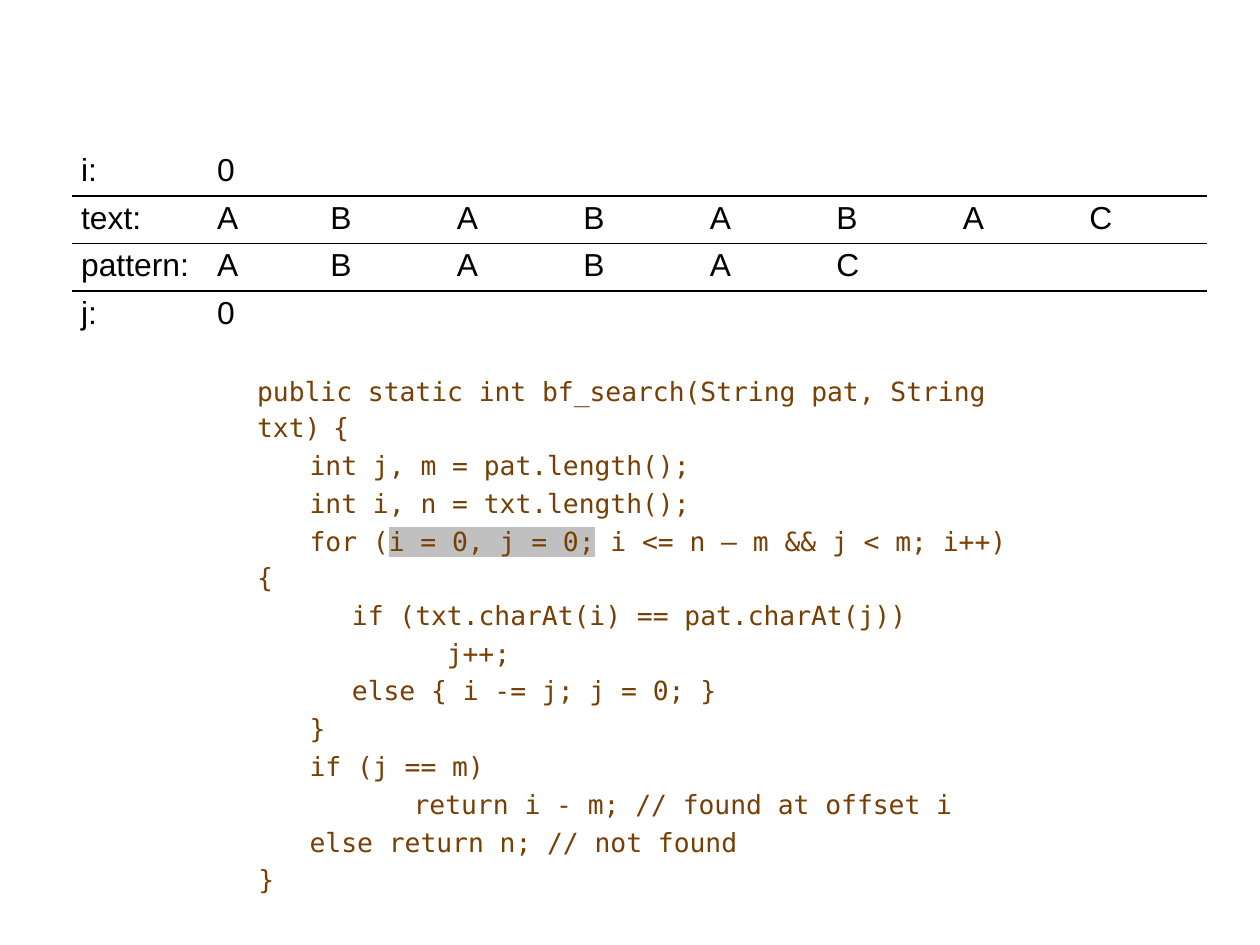
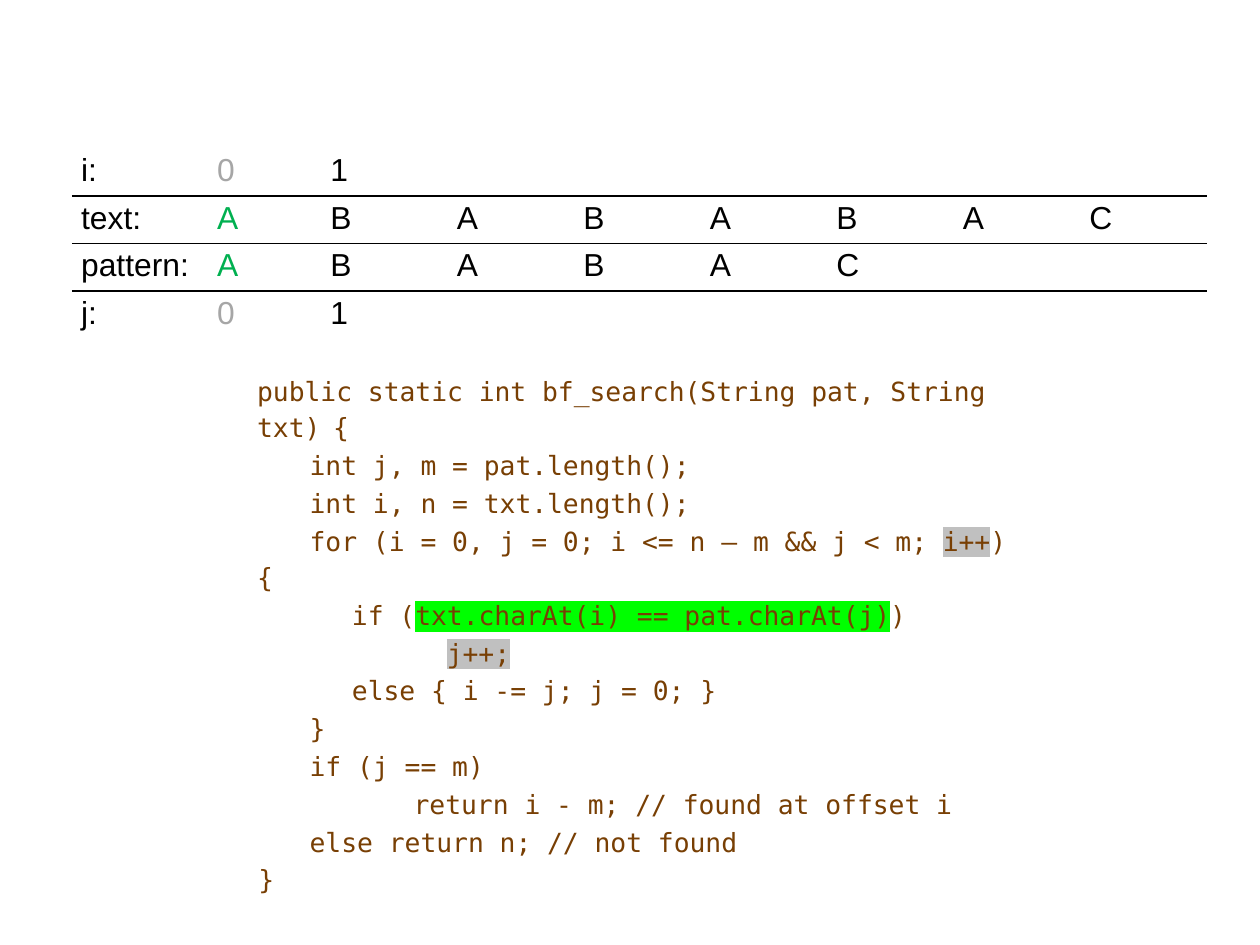
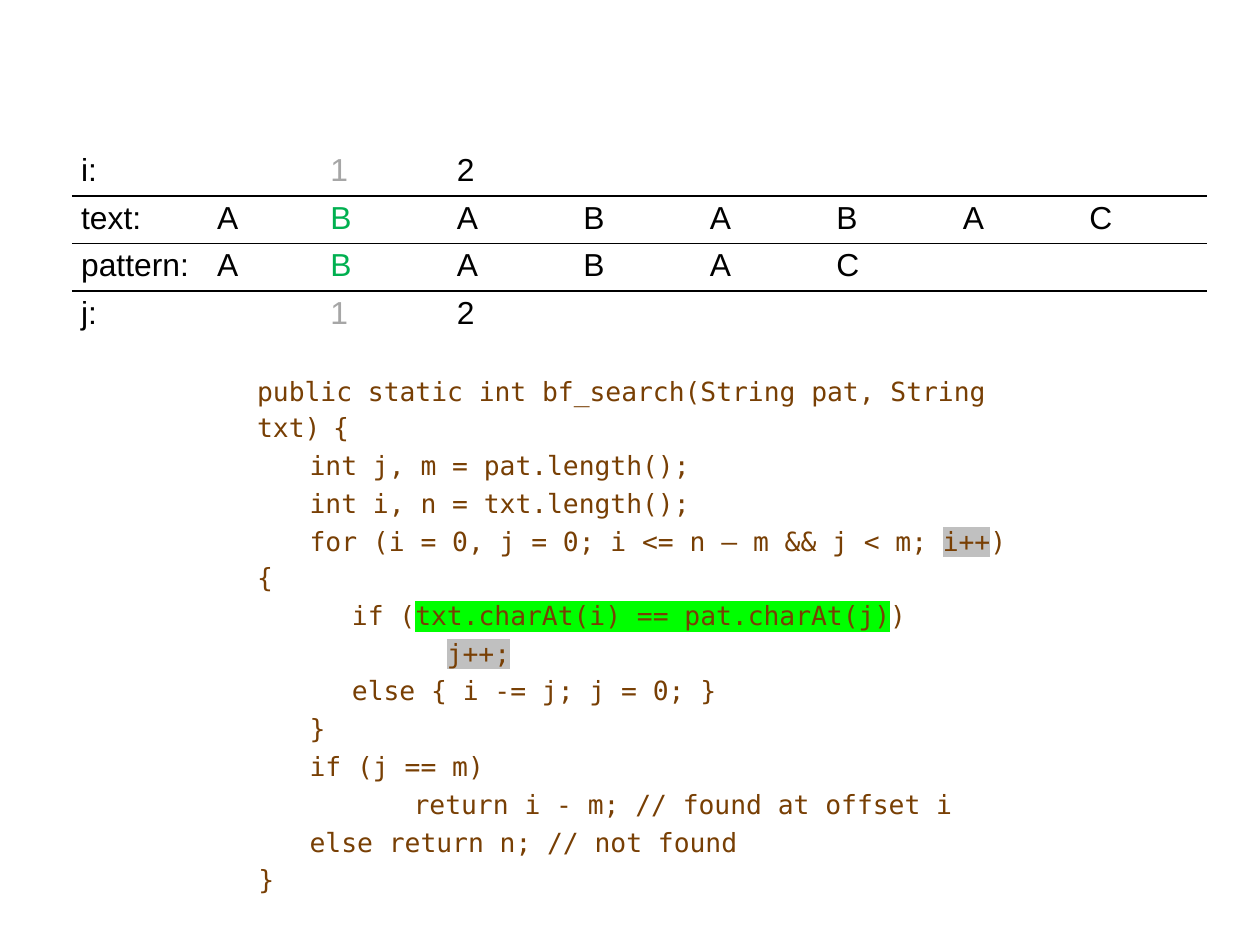
from lxml.etree import SubElement
from pptx import Presentation
from pptx.dml.color import RGBColor
from pptx.oxml import parse_xml
from pptx.oxml.ns import nsdecls, qn
from pptx.util import Cm, Inches, Pt

BLACK, GREY, GREEN, BROWN = "000000", "A6A6A6", "00B050", "783F04"
SILVER_MARK, GREEN_MARK = "C0C0C0", "00FF00"
CODE_FONT, TABLE_FONT = "DejaVu Sans Mono", "Arial"
NO_STYLE = "{2D5ABB26-0587-4C30-8999-92F81FD0307C}"

TABLE_BOX = (0.63, 1.3, 9.93, 1.66)
CODE_BOX = (2.16, 3.15, 6.87, 4.09)
LABEL_WIDTH, FIRST_WIDTH = 1.19, 0.99
TAB_SIZE = 0.83
TEXT, PATTERN = "ABABABAC", "ABABAC"

CODE = [
    (0, 0, "public static int bf_search(String pat, String txt) {"),
    (0, 0.46, "int j, m = pat.length();"),
    (0, 0.46, "int i, n = txt.length();"),
    (0, 0.46, "for (i = 0, j = 0; i <= n – m && j < m; i++) {"),
    (0, 0.46, "\tif (txt.charAt(i) == pat.charAt(j))"),
    (0, 0.46, "\t\tj++;"),
    (0, 0.46, "\telse { i -= j; j = 0; }"),
    (0, 0.46, "}"),
    (0, 0.46, "if (j == m)"),
    (0.91, 0.46, "return i - m; // found at offset i"),
    (0, 0.46, "else return n; // not found"),
    (0, 0.01, "}"),
]
START_MARKS = {3: ("i = 0, j = 0;", SILVER_MARK)}
MATCH_MARKS = {
    3: ("i++", SILVER_MARK),
    4: ("txt.charAt(i) == pat.charAt(j)", GREEN_MARK),
    5: ("j++;", SILVER_MARK),
}


def colour(value):
    """Turn a hex string into a colour."""
    return RGBColor.from_string(value)


def add_text(para, text, size=16.6, font=CODE_FONT, ink=BROWN, mark=None):
    """Add one formatted run, optionally highlighted."""
    span = para.add_run()
    span.text = text
    span.font.size = Pt(size)
    span.font.color.rgb = colour(ink)
    if mark:
        highlight = SubElement(span._r.get_or_add_rPr(), qn("a:highlight"))
        SubElement(highlight, qn("a:srgbClr"), val=mark)
    span.font.name = font


def set_indent(para, left, first):
    """Set the indents and tab size of a code line."""
    props = para._p.get_or_add_pPr()
    props.set("marL", str(Inches(left)))
    props.set("indent", str(Inches(first)))
    props.set("defTabSz", str(Inches(TAB_SIZE)))


def add_code(page, box, marks):
    """Place the search function with its marked snippets."""
    frame = page.shapes.add_textbox(*map(Inches, box)).text_frame
    frame.word_wrap = True
    frame.margin_left = frame.margin_right = Inches(0.09)
    frame.margin_top = frame.margin_bottom = Inches(0.09)
    for number, (left, first, text) in enumerate(CODE):
        para = frame.add_paragraph() if number else frame.paragraphs[0]
        para.line_spacing = 1.15
        if number:
            para.space_before = Pt(0.9)
        set_indent(para, left, first)
        opens_block = text.endswith(" {")
        body = text[:-2] if opens_block else text
        snippet, mark = marks.get(number, (body, None))
        before, marked, after = body.partition(snippet)
        for part, part_mark in ((before, None), (marked, mark), (after, None)):
            if part:
                add_text(para, part, mark=part_mark)
        if opens_block:
            add_text(para, " ", size=13.2)
            add_text(para, "{")


def add_border(cell, side):
    """Draw a thin black line on one side of a cell."""
    cell._tc.get_or_add_tcPr().insert(0, parse_xml(
        f'<a:{side} {nsdecls("a")} w="{Pt(1)}"><a:solidFill>'
        f'<a:srgbClr val="{BLACK}"/></a:solidFill></a:{side}>'))


def fill_cell(cell, text, ink):
    """Format a cell and write its text."""
    cell.fill.background()
    cell.margin_left = cell.margin_right = Inches(0.08)
    cell.margin_top = cell.margin_bottom = Inches(0.04)
    if text:
        add_text(cell.text_frame.paragraphs[0], text,
                 size=20, font=TABLE_FONT, ink=ink)


def add_trace(page, box, step):
    """Place the table of indexes and letters for one step."""
    width, height = box[2:]
    indexes = [str(n) if step - 1 <= n <= step else "" for n in range(len(TEXT))]
    rows = [("i:", indexes, GREY), ("text:", TEXT, GREEN),
            ("pattern:", PATTERN.ljust(len(TEXT)), GREEN), ("j:", indexes, GREY)]
    table_frame = page.shapes.add_table(
        len(rows), len(TEXT) + 1, *map(Inches, box))
    table = table_frame.table
    table.first_row = table.horz_banding = False
    table._tbl.tblPr.find(qn("a:tableStyleId")).text = NO_STYLE
    letter_width = (width - LABEL_WIDTH - FIRST_WIDTH) / (len(TEXT) - 1)
    widths = [LABEL_WIDTH, FIRST_WIDTH] + [letter_width] * (len(TEXT) - 1)
    for column, column_width in zip(table.columns, widths):
        column.width = Inches(column_width)
    for r, (label, values, past_ink) in enumerate(rows):
        table.rows[r].height = Inches(height / len(rows))
        for c, value in enumerate([label, *values]):
            cell = table.cell(r, c)
            is_past = step > 0 and c == step
            fill_cell(cell, value.strip(), past_ink if is_past else BLACK)
            if r < len(rows) - 1:
                add_border(cell, "lnB")
            if r > 0:
                add_border(cell, "lnT")


def add_step(deck, step):
    """Build the slide for one step of the search."""
    page = deck.slides.add_slide(deck.slide_layouts[6])
    add_code(page, CODE_BOX, MATCH_MARKS if step else START_MARKS)
    add_trace(page, TABLE_BOX, step)


def main():
    """Build and save the deck."""
    deck = Presentation()
    deck.slide_width, deck.slide_height = Cm(28), Cm(21)
    for step in range(3):
        add_step(deck, step)
    deck.save("out.pptx")


if __name__ == "__main__":
    main()
